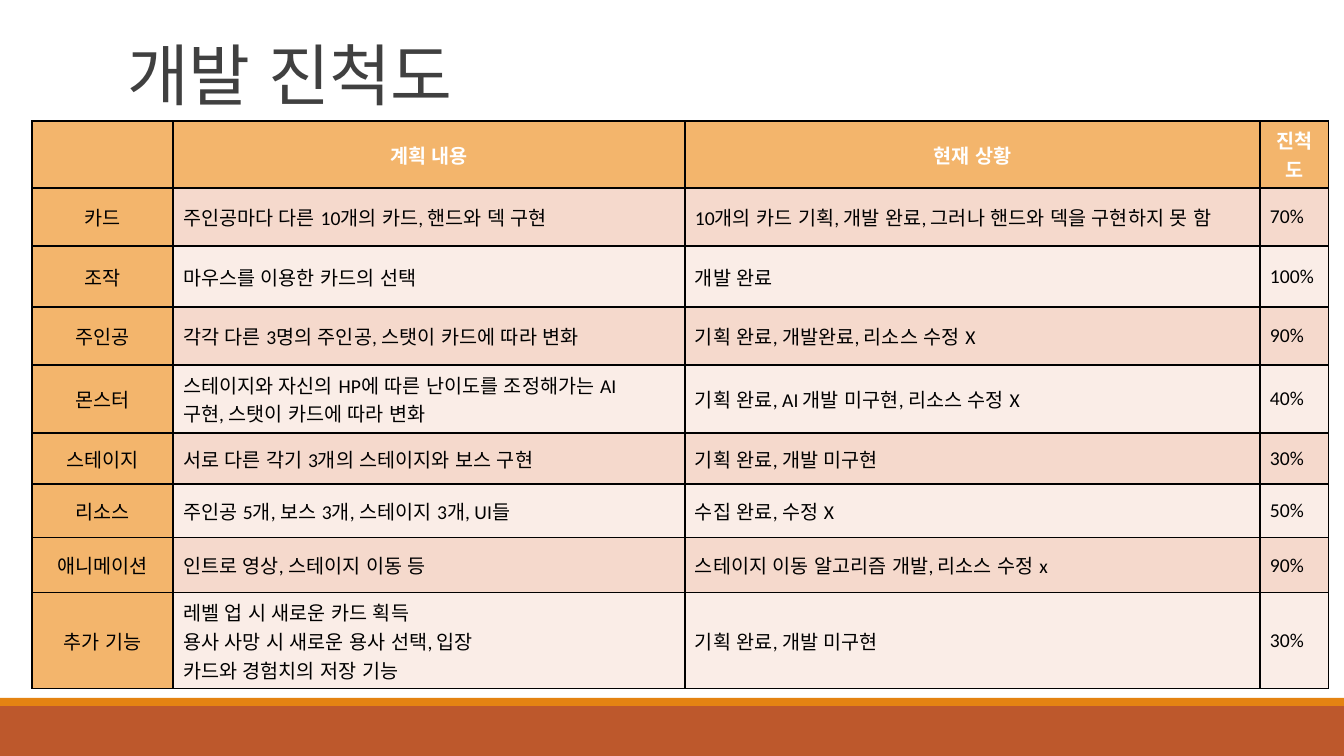
from pptx import Presentation
from pptx.dml.color import RGBColor
from pptx.enum.lang import MSO_LANGUAGE_ID as LANG
from pptx.enum.shapes import MSO_SHAPE as SHAPE
from pptx.enum.text import MSO_ANCHOR as ANCHOR, PP_ALIGN as ALIGN
from pptx.oxml import parse_xml
from pptx.oxml.ns import nsdecls
from pptx.util import Pt

TITLE = "개발 진척도"
HEADER = ("", "계획 내용", "현재 상황", "진척도")
ROWS = [
    ("카드", "주인공마다 다른 10개의 카드, 핸드와 덱 구현",
     "10개의 카드 기획, 개발 완료, 그러나 핸드와 덱을 구현하지 못 함", "70%"),
    ("조작", "마우스를 이용한 카드의 선택", "개발 완료", "100%"),
    ("주인공", "각각 다른 3명의 주인공, 스탯이 카드에 따라 변화",
     "기획 완료, 개발완료, 리소스 수정 X", "90%"),
    ("몬스터", "스테이지와 자신의 HP에 따른 난이도를 조정해가는 AI 구현, 스탯이 카드에 따라 변화",
     "기획 완료, AI 개발 미구현, 리소스 수정 X", "40%"),
    ("스테이지", "서로 다른 각기 3개의 스테이지와 보스 구현", "기획 완료, 개발 미구현", "30%"),
    ("리소스", "주인공 5개, 보스 3개, 스테이지 3개, UI들", "수집 완료, 수정 X", "50%"),
    ("애니메이션", "인트로 영상, 스테이지 이동 등",
     "스테이지 이동 알고리즘 개발, 리소스 수정 x", "90%"),
    ("추가 기능",
     "레벨 업 시 새로운 카드 획득\n용사 사망 시 새로운 용사 선택, 입장\n카드와 경험치의 저장 기능",
     "기획 완료, 개발 미구현", "30%"),
]
COL_WIDTHS = (141, 512, 575, 69)
ROW_HEIGHTS = (67, 58, 61, 58, 68, 51, 54, 55, 96)
PLAN_COL, PLAN_MARGIN = 1, 30
BARS = [(706, 50, "BD582C"), (698, 8, "E48312")]  # top, height, fill
ACCENT, BANDS = "F3B56C", ("F5D9CC", "FAEDE7")
FONT = "Calibri"
SLIDE_W, SLIDE_H = 1344, 756


def px(n):
    return round(n * 914400 / 100.8)


def rgb(color):
    return RGBColor.from_string(color)


def style(p, size, color, bold=False):
    for r in p.runs:
        r.font.name, r.font.size, r.font.bold = FONT, Pt(size), bold
        r.font.color.rgb = rgb(color)
        r.font.language_id = LANG.KOREAN


def add_borders(cell):
    tcPr = cell._tc.get_or_add_tcPr()
    for i, side in enumerate(("lnL", "lnR", "lnT", "lnB")):
        tcPr.insert(i, parse_xml(
            f'<a:{side} {nsdecls("a")} w="12700"><a:solidFill>'
            f'<a:srgbClr val="000000"/></a:solidFill></a:{side}>'))


prs = Presentation()
prs.slide_width, prs.slide_height = px(SLIDE_W), px(SLIDE_H)
s = prs.slides.add_slide(prs.slide_layouts[6])

# Bottom bars
for top, height, color in BARS:
    sp = s.shapes.add_shape(SHAPE.RECTANGLE, 0, px(top), px(SLIDE_W), px(height))
    sp.shadow.inherit = False
    sp.fill.solid()
    sp.fill.fore_color.rgb = rgb(color)
    sp.line.fill.background()

# Title
tf = s.shapes.add_textbox(px(118), px(41), px(1109), px(160)).text_frame
tf.word_wrap = True
tf.text = TITLE
p = tf.paragraphs[0]
p.line_spacing = 0.85
style(p, 48, "404040")
p.runs[0].font._element.set("spc", "-50")

# Progress table
table = s.shapes.add_table(len(ROWS) + 1, len(HEADER), px(32), px(121),
                           px(sum(COL_WIDTHS)), px(sum(ROW_HEIGHTS))).table
for column, width in zip(table.columns, COL_WIDTHS):
    column.width = px(width)
for row, height in zip(table.rows, ROW_HEIGHTS):
    row.height = px(height)

for i, texts in enumerate([HEADER] + ROWS):
    for j, text in enumerate(texts):
        cell = table.cell(i, j)
        is_label = i == 0 or j == 0
        cell.text = text
        cell.vertical_anchor = ANCHOR.MIDDLE
        if j == PLAN_COL and not is_label:
            cell.margin_right = px(PLAN_MARGIN)
        cell.fill.solid()
        cell.fill.fore_color.rgb = rgb(ACCENT if is_label else BANDS[(i - 1) % 2])
        add_borders(cell)
        for p in cell.text_frame.paragraphs:
            p.alignment = ALIGN.CENTER if is_label else ALIGN.LEFT
            p.font.size = Pt(14)
            style(p, 14, "FFFFFF" if i == 0 else "000000", bold=i == 0)

prs.save("out.pptx")
